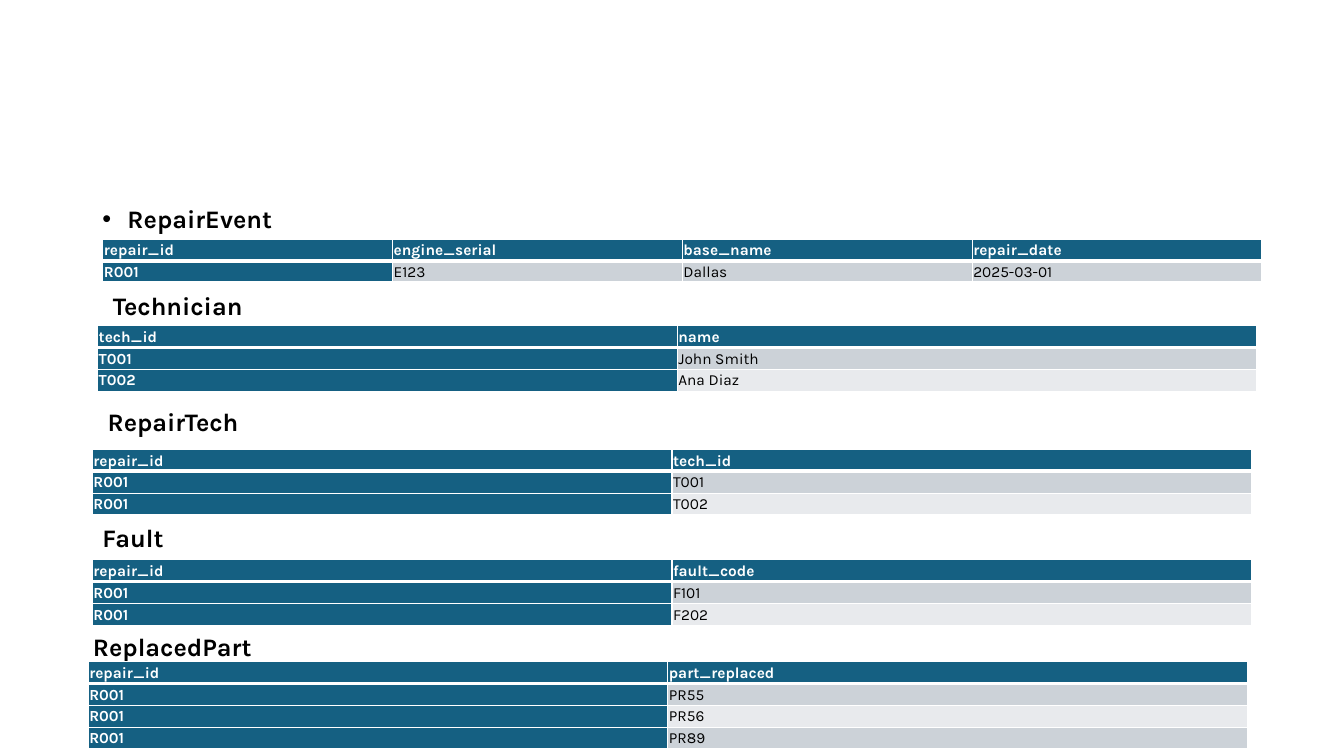
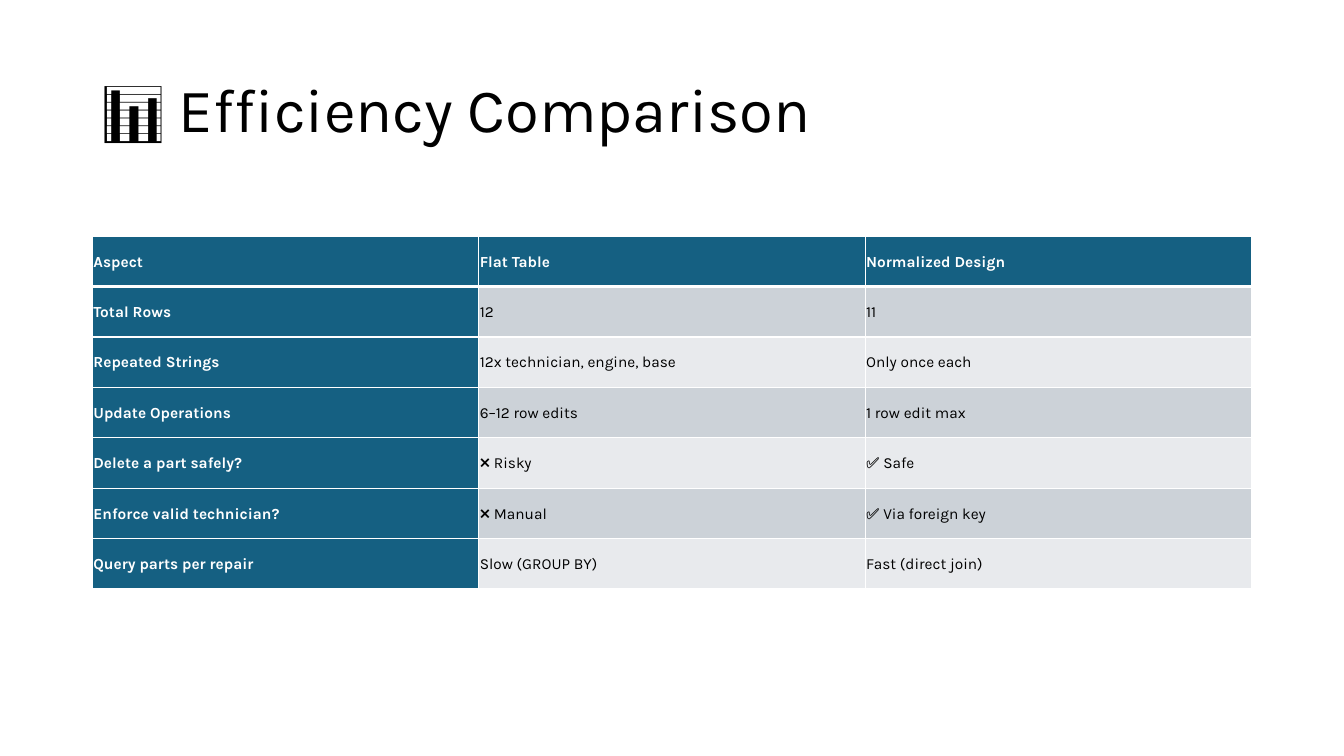
from lxml import etree
from pptx import Presentation
from pptx.dml.color import RGBColor
from pptx.enum.text import MSO_ANCHOR, MSO_AUTO_SIZE
from pptx.oxml.ns import qn
from pptx.util import Pt

TOP = MSO_ANCHOR.TOP
MIDDLE = MSO_ANCHOR.MIDDLE
GROW = MSO_AUTO_SIZE.SHAPE_TO_FIT_TEXT
FIXED = MSO_AUTO_SIZE.NONE
SCALE = 9525


def px(n):
    return n * SCALE


def rgb(code):
    return RGBColor.from_string(code)


class Deck:
    FONT = "Karla"
    INK = "000000"
    PAPER = "FFFFFF"
    HEAD = "156082"
    BANDS = ("CCD2D8", "E8EAED")
    WIDTH = 1104

    def __init__(self):
        self.prs = Presentation()
        self.prs.slide_width = px(1280)
        self.prs.slide_height = px(720)
        self.slide = None

    def page(self):
        self.slide = self.prs.slides.add_slide(self.prs.slide_layouts[6])

    def label(self, para, text, size, color, bold):
        run = para.add_run()
        run.text = text
        font = run.font
        font.name = self.FONT
        font.size = Pt(size)
        font.bold = bold
        font.color.rgb = rgb(color)

    def text(self, text, x, y, w, h, size=18, bold=True, anchor=TOP,
             fit=GROW, line=1.07, after=8):
        box = self.slide.shapes.add_textbox(px(x), px(y), px(w), px(h))
        frame = box.text_frame
        frame.word_wrap = True
        frame.auto_size = fit
        frame.vertical_anchor = anchor
        para = frame.paragraphs[0]
        para.line_spacing = line
        para.space_after = Pt(after)
        self.label(para, text, size, self.INK, bold)
        return para

    def title(self, text):
        self.text(text, 88, 38, self.WIDTH, 139, size=44, bold=False,
                  anchor=MIDDLE, fit=FIXED, line=0.9, after=0)

    def bullet(self, text, x, y, h):
        para = self.text(text, x, y, self.WIDTH, h, fit=FIXED,
                         line=0.9, after=0)
        para.space_before = Pt(10)
        props = para._p.get_or_add_pPr()
        props.set("marL", str(px(24)))
        props.set("indent", str(-px(24)))
        etree.SubElement(props, qn("a:buFont"), typeface="Arial")
        etree.SubElement(props, qn("a:buChar"), char="•")

    def border(self, cell, row):
        props = cell._tc.get_or_add_tcPr()
        heavy = {(0, "B"), (1, "T")}
        for spot, side in enumerate("LRTB"):
            width = 3 if (row, side) in heavy else 1
            line = etree.Element(qn("a:ln" + side), w=str(Pt(width)))
            fill = etree.SubElement(line, qn("a:solidFill"))
            etree.SubElement(fill, qn("a:srgbClr"), val=self.PAPER)
            props.insert(spot, line)

    def cell(self, cell, text, row, col):
        head = row == 0 or col == 0
        cell.margin_left = cell.margin_right = px(1)
        cell.margin_top = cell.margin_bottom = px(1)
        cell.vertical_anchor = MIDDLE
        cell.fill.solid()
        cell.fill.fore_color.rgb = rgb(
            self.HEAD if head else self.BANDS[(row - 1) % 2])
        self.border(cell, row)
        para = cell.text_frame.paragraphs[0]
        para.line_spacing = 1.07
        para.space_after = Pt(8)
        self.label(para, text, 11, self.PAPER if head else self.INK, head)

    def table(self, data, x, y, step=20):
        rows, cols = len(data), len(data[0])
        frame = self.slide.shapes.add_table(
            rows, cols, px(x), px(y), px(self.WIDTH), px(step * rows))
        grid = frame.table
        grid.first_col = True
        for col in grid.columns:
            col.width = px(self.WIDTH // cols)
        for r, line in enumerate(data):
            grid.rows[r].height = px(step)
            for c, text in enumerate(line):
                self.cell(grid.cell(r, c), text, r, c)


EVENT = [
    ("repair_id", "engine_serial", "base_name", "repair_date"),
    ("R001", "E123", "Dallas", "2025-03-01"),
]

PARTS = [
    ("Technician", (98, 270), (93, 310),
     [("tech_id", "name"), ("T001", "John Smith"), ("T002", "Ana Diaz")]),
    ("RepairTech", (93, 380), (88, 428),
     [("repair_id", "tech_id"), ("R001", "T001"), ("R001", "T002")]),
    ("Fault", (88, 491), (88, 533),
     [("repair_id", "fault_code"), ("R001", "F101"), ("R001", "F202")]),
    ("ReplacedPart", (79, 595), (84, 630),
     [("repair_id", "part_replaced"), ("R001", "PR55"), ("R001", "PR56"),
      ("R001", "PR89")]),
]

COMPARE = [
    ("Aspect", "Flat Table", "Normalized Design"),
    ("Total Rows", "12", "11"),
    ("Repeated Strings", "12x technician, engine, base", "Only once each"),
    ("Update Operations", "6–12 row edits", "1 row edit max"),
    ("Delete a part safely?", "❌ Risky", "✅ Safe"),
    ("Enforce valid technician?", "❌ Manual", "✅ Via foreign key"),
    ("Query parts per repair", "Slow (GROUP BY)", "Fast (direct join)"),
]


def main():
    deck = Deck()
    deck.page()
    deck.bullet("RepairEvent", 88, 192, 457)
    deck.table(EVENT, 98, 228)
    for name, spot, place, data in PARTS:
        deck.text(name, *spot, 640, 39)
        deck.table(data, *place)

    deck.page()
    deck.title("📊 Efficiency Comparison")
    deck.table(COMPARE, 88, 225, step=48)
    deck.prs.save("out.pptx")


if __name__ == "__main__":
    main()
